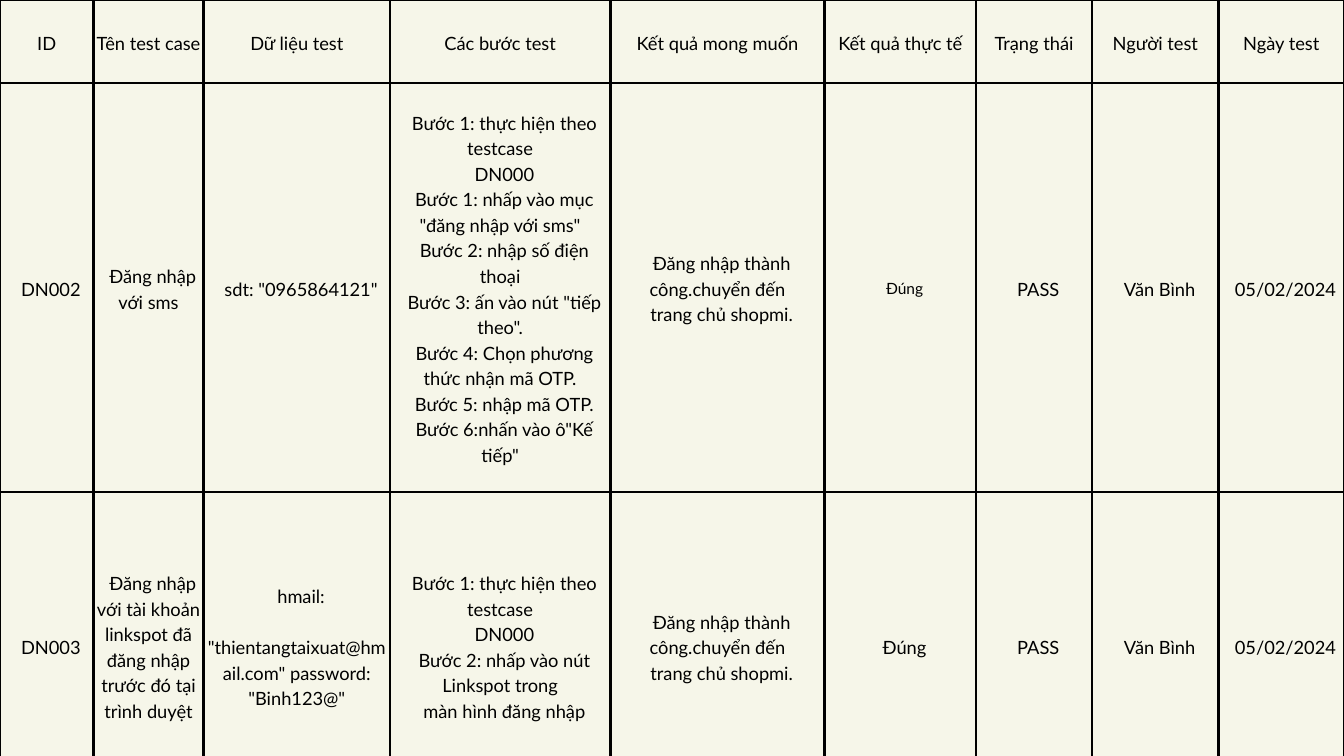
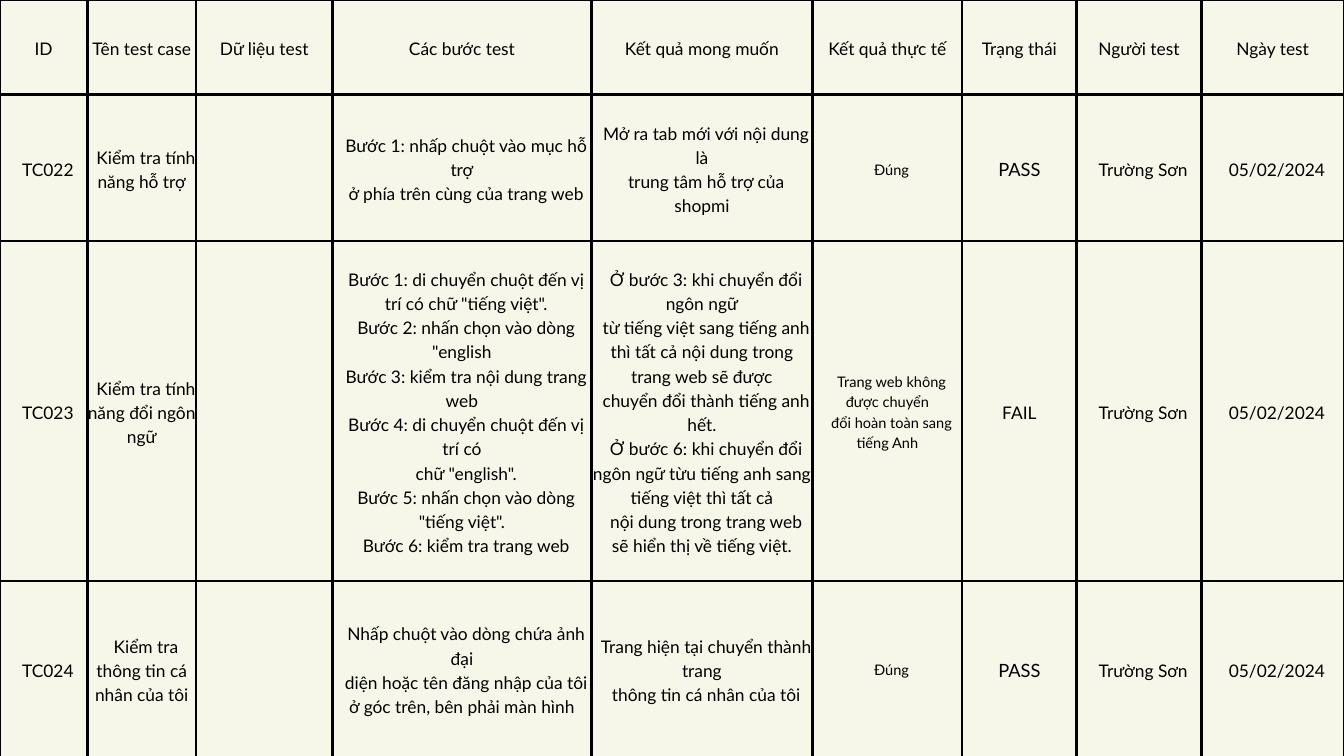
from dataclasses import dataclass

from lxml import etree
from pptx import Presentation
from pptx.dml.color import RGBColor
from pptx.enum.text import MSO_ANCHOR, PP_ALIGN
from pptx.oxml.ns import qn
from pptx.presentation import Presentation as Deck
from pptx.table import _Cell
from pptx.util import Cm, Pt

CENTER = PP_ALIGN.CENTER
MIDDLE = MSO_ANCHOR.MIDDLE

CREAM = RGBColor(0xF6, 0xF6, 0xE9)
BLACK = RGBColor(0x00, 0x00, 0x00)
FONT = "Lato"
LINE_RATIO = 1.4
FIRST_LINE_INDENT = Cm(0.32)
BORDER_WIDTH = Pt(3)
BORDER_SIDES = ("a:lnL", "a:lnR", "a:lnT", "a:lnB")
PAGE_WIDTH, PAGE_HEIGHT = Cm(50.8), Cm(28.58)
BLANK_LAYOUT = 6

HEADERS = (
    "ID", "Tên test case", "Dữ liệu test", "Các bước test", "Kết quả mong muốn",
    "Kết quả thực tế", "Trạng thái", "Người test", "Ngày test",
)
TEST_DATE = "05/02/2024"
LOGIN_RESULT = "Đăng nhập thành công.chuyển đến\ntrang chủ shopmi."


@dataclass(frozen=True)
class Entry:
    text: str
    size: float
    padded: bool = True


@dataclass(frozen=True)
class TestSheet:
    size: float
    widths: tuple[float, ...]
    heights: tuple[float, ...]
    cases: tuple[tuple[str | Entry, ...], ...]


LOGIN_SHEET = TestSheet(
    size=19.6,
    widths=(3.53, 4.17, 7.04, 8.33, 8.1, 5.72, 4.39, 4.78, 4.74),
    heights=(3.13, 13.83, 11.62),
    cases=(
        (
            "DN002",
            "Đăng nhập với sms",
            'sdt: "0965864121"',
            "Bước 1: thực hiện theo testcase\n"
            "DN000\n"
            'Bước 1: nhấp vào mục "đăng nhập với sms"\n'
            "Bước 2: nhập số điện thoại\n"
            'Bước 3: ấn vào nút "tiếp theo".\n'
            "Bước 4: Chọn phương thức nhận mã OTP.\n"
            "Bước 5: nhập mã OTP.\n"
            'Bước 6:nhấn vào ô"Kế tiếp"',
            LOGIN_RESULT,
            Entry("Đúng", 16.6),
            "PASS",
            "Văn Bình",
            TEST_DATE,
        ),
        (
            "DN003",
            "Đăng nhập với tài khoản linkspot đã đăng nhập trước đó tại trình duyệt",
            'hmail:\n\n"thientangtaixuat@hmail.com" password: "Binh123@"',
            "Bước 1: thực hiện theo testcase\n"
            "DN000\n"
            "Bước 2: nhấp vào nút Linkspot trong\n"
            "màn hình đăng nhập",
            LOGIN_RESULT,
            "Đúng",
            "PASS",
            "Văn Bình",
            TEST_DATE,
        ),
    ),
)

HOME_SHEET = TestSheet(
    size=18.6,
    widths=(3.3, 4.11, 5.16, 9.78, 8.36, 5.66, 4.32, 4.72, 5.39),
    heights=(3.58, 5.54, 12.8, 6.66),
    cases=(
        (
            "TC022",
            "Kiểm tra tính năng hỗ trợ",
            "",
            "Bước 1: nhấp chuột vào mục hỗ trợ\nở phía trên cùng của trang web",
            "Mở ra tab mới với nội dung là\ntrung tâm hỗ trợ của shopmi",
            Entry("Đúng", 15.6),
            Entry("PASS", 19.6, padded=False),
            "Trường Sơn",
            TEST_DATE,
        ),
        (
            "TC023",
            "Kiểm tra tính năng đổi ngôn ngữ",
            "",
            "Bước 1: di chuyển chuột đến vị\n"
            'trí có chữ "tiếng việt".\n'
            'Bước 2: nhấn chọn vào dòng "english\n'
            "Bước 3: kiểm tra nội dung trang web\n"
            "Bước 4: di chuyển chuột đến vị trí có\n"
            'chữ "english".\n'
            'Bước 5: nhấn chọn vào dòng "tiếng việt".\n'
            "Bước 6: kiểm tra trang web",
            "Ở bước 3: khi chuyển đổi ngôn ngữ\n"
            "từ tiếng việt sang tiếng anh thì tất cả nội dung trong trang web sẽ được\n"
            "chuyển đổi thành tiếng anh hết.\n"
            "Ở bước 6: khi chuyển đổi ngôn ngữ từu tiếng anh sang tiếng việt thì tất cả\n"
            "nội dung trong trang web sẽ hiển thị về tiếng việt.",
            Entry("Trang web không được chuyển\nđổi hoàn toàn sang tiếng Anh", 15.6),
            Entry("FAIL", 18.6, padded=False),
            "Trường Sơn",
            TEST_DATE,
        ),
        (
            "TC024",
            "Kiểm tra thông tin cá nhân của tôi",
            "",
            "Nhấp chuột vào dòng chứa ảnh đại\n"
            "diện hoặc tên đăng nhập của tôi ở góc trên, bên phải màn hình",
            "Trang hiện tại chuyển thành trang\nthông tin cá nhân của tôi",
            Entry("Đúng", 15.6),
            Entry("PASS", 19.6, padded=False),
            "Trường Sơn",
            TEST_DATE,
        ),
    ),
)


def draw_borders(cell: _Cell) -> None:
    properties = cell._tc.get_or_add_tcPr()
    for side in BORDER_SIDES:
        line = etree.SubElement(properties, qn(side), w=str(BORDER_WIDTH))
        fill = etree.SubElement(line, qn("a:solidFill"))
        etree.SubElement(fill, qn("a:srgbClr"), val=str(BLACK))


def write_entry(cell: _Cell, entry: Entry) -> None:
    line_height = Pt(round(entry.size * LINE_RATIO, 1))
    padding = line_height if entry.padded and entry.text else 0
    cell.margin_left = cell.margin_right = 0
    cell.margin_top = cell.margin_bottom = padding
    cell.vertical_anchor = MIDDLE
    frame = cell.text_frame
    para = frame.paragraphs[0]
    for number, block in enumerate(entry.text.split("\n\n")):
        for position, line in enumerate(block.split("\n")):
            if number or position:
                para = frame.add_paragraph()
            para.text = line
            para.alignment = CENTER
            para.line_spacing = line_height
            if number and not position:
                para.space_before = line_height
            elif entry.padded:
                para._p.get_or_add_pPr().set("indent", str(FIRST_LINE_INDENT))
            for span in para.runs:
                span.font.name = FONT
                span.font.size = Pt(entry.size)
                span.font.color.rgb = BLACK


def add_test_sheet(deck: Deck, sheet: TestSheet) -> None:
    page = deck.slides.add_slide(deck.slide_layouts[BLANK_LAYOUT])
    table = page.shapes.add_table(
        len(sheet.heights), len(sheet.widths), 0, 0, PAGE_WIDTH, PAGE_HEIGHT
    ).table
    table.first_row = table.horz_banding = False
    for column, width in zip(table.columns, sheet.widths):
        column.width = Cm(width)
    for row, height in zip(table.rows, sheet.heights):
        row.height = Cm(height)

    header = tuple(Entry(title, sheet.size, padded=False) for title in HEADERS)
    for row, values in zip(table.rows, (header, *sheet.cases)):
        for cell, value in zip(row.cells, values):
            entry = value if isinstance(value, Entry) else Entry(value, sheet.size)
            write_entry(cell, entry)
            draw_borders(cell)
            cell.fill.background()


def main() -> None:
    deck = Presentation()
    deck.slide_width, deck.slide_height = PAGE_WIDTH, PAGE_HEIGHT
    background = deck.slide_master.background.fill
    background.solid()
    background.fore_color.rgb = CREAM
    for sheet in (LOGIN_SHEET, HOME_SHEET):
        add_test_sheet(deck, sheet)
    deck.save("out.pptx")


if __name__ == "__main__":
    main()
